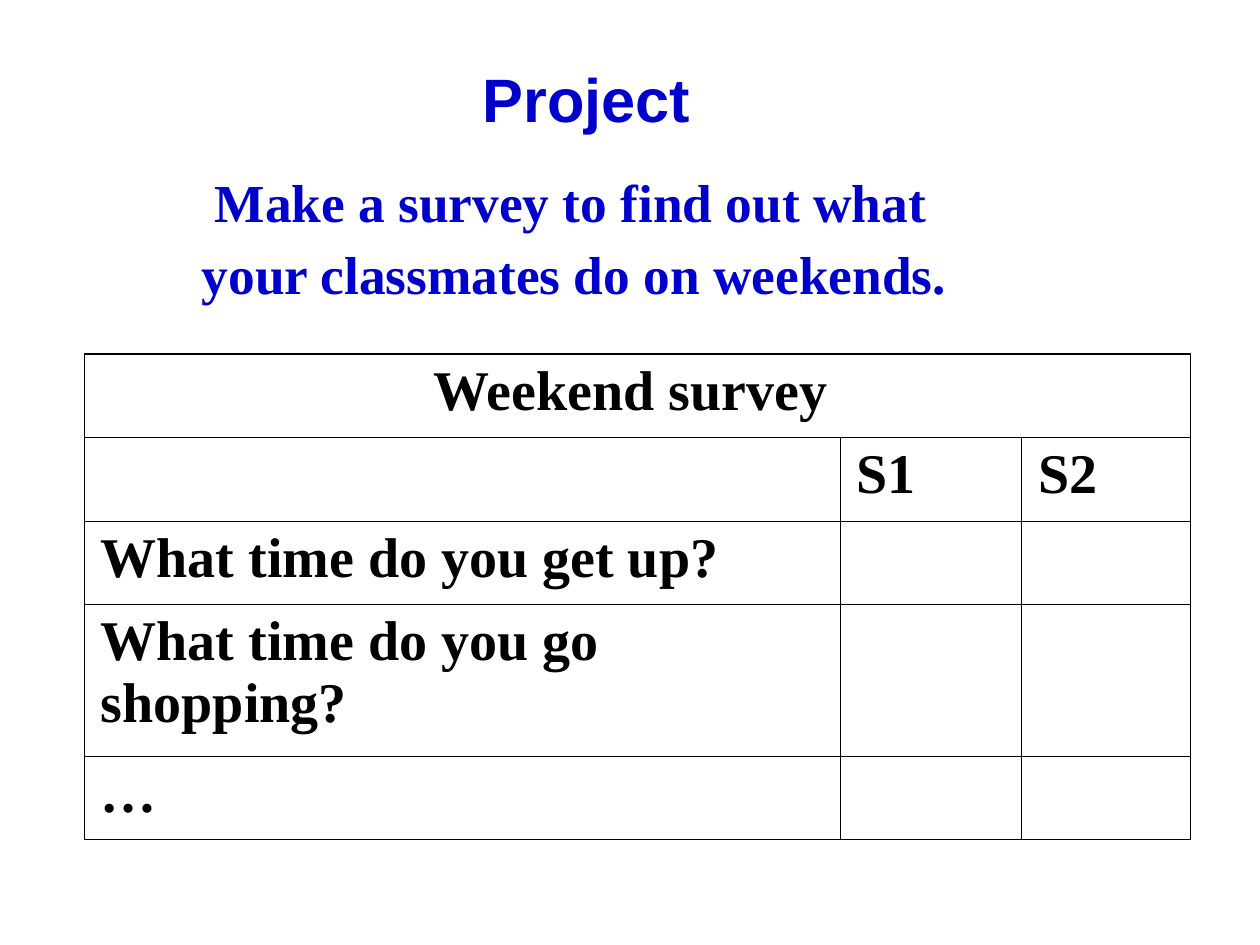
from dataclasses import dataclass

from lxml import etree
from pptx import Presentation
from pptx.dml.color import RGBColor
from pptx.enum import text
from pptx.oxml import ns
from pptx.util import Pt


@dataclass(frozen=True)
class Theme:
    accent: str = "0000CC"
    ink: str = "000000"
    heading_font: str = "Arial"
    body_font: str = "Times New Roman"
    title_size: float = 35
    task_size: float = 30.5
    table_size: float = 32
    outer_line: float = 1.08
    inner_line: float = 0.45


THEME = Theme()
TASK_LINES = [
    ("Make a survey to find out what", 43.7),
    ("your classmates do on weekends.", 36.2),
]
SURVEY = [
    ["Weekend survey ", "", ""],
    ["", "S1", "S2"],
    ["What time do you get up?", "", ""],
    ["What time do you go shopping?", "", ""],
    ["…", "", ""],
]
COLUMN_SHARES = [6, 1.44, 1.34]
ROW_SHARES = [0.66, 0.66, 0.66, 1.2, 0.66]


def style(p, font, size, color):
    p.font.name = font
    p.font.size = Pt(size)
    p.font.bold = True
    p.font.color.rgb = RGBColor.from_string(color)


def add_box(slide, box):
    tf = slide.shapes.add_textbox(*map(Pt, box)).text_frame
    tf.word_wrap = True
    return tf


def add_title(slide, box):
    tf = add_box(slide, box)
    tf.vertical_anchor = text.MSO_ANCHOR.MIDDLE
    p = tf.paragraphs[0]
    p.text = "Project "
    p.alignment = text.PP_ALIGN.CENTER
    style(p, THEME.heading_font, THEME.title_size, THEME.accent)


def add_task(slide, box):
    tf = add_box(slide, box)
    for i, (line, indent) in enumerate(TASK_LINES):
        p = tf.add_paragraph() if i else tf.paragraphs[0]
        p.text = line
        p.line_spacing = 0.9
        p.space_before = Pt(8.2)
        p._p.get_or_add_pPr().set("marL", str(Pt(indent)))
        style(p, THEME.body_font, THEME.task_size, THEME.accent)


def set_borders(cell, outer_sides):
    tcPr = cell._tc.get_or_add_tcPr()
    for side in "LRTB":
        width = THEME.outer_line if side in outer_sides else THEME.inner_line
        ln = etree.SubElement(tcPr, ns.qn(f"a:ln{side}"), w=str(Pt(width)))
        fill = etree.SubElement(ln, ns.qn("a:solidFill"))
        etree.SubElement(fill, ns.qn("a:srgbClr"), val=THEME.ink)


def add_survey(slide, box):
    rows, cols = len(SURVEY), len(COLUMN_SHARES)
    table = slide.shapes.add_table(rows, cols, *map(Pt, box)).table
    table.first_row = table.horz_banding = False
    for column, share in zip(table.columns, COLUMN_SHARES):
        column.width = Pt(box[2] * share / sum(COLUMN_SHARES))
    for row, share in zip(table.rows, ROW_SHARES):
        row.height = Pt(box[3] * share / sum(ROW_SHARES))
    table.cell(0, 0).merge(table.cell(0, cols - 1))

    for r, labels in enumerate(SURVEY):
        for c, label in enumerate(labels):
            cell = table.cell(r, c)
            edges = {"L": c == 0, "R": c == cols - 1 or r == 0,
                     "T": r == 0, "B": r == rows - 1}
            set_borders(cell, [side for side, outer in edges.items() if outer])
            cell.fill.background()
            cell.margin_left = cell.margin_right = Pt(9.36)
            cell.margin_top = cell.margin_bottom = Pt(3.6)
            if label:
                p = cell.text_frame.paragraphs[0]
                p.text = label
                p.space_before = Pt(8)
                p.alignment = text.PP_ALIGN.LEFT if r else text.PP_ALIGN.CENTER
                style(p, THEME.body_font, THEME.table_size, THEME.ink)


def main():
    prs = Presentation()
    prs.slide_width, prs.slide_height = Pt(720), Pt(540)
    slide = prs.slides.add_slide(prs.slide_layouts[6])
    add_title(slide, (160, 22.5, 360, 67.5))
    add_task(slide, (72, 97.2, 543.6, 90))
    add_survey(slide, (48.24, 202.4, 632.2, 277.4))
    prs.save("out.pptx")


if __name__ == "__main__":
    main()
